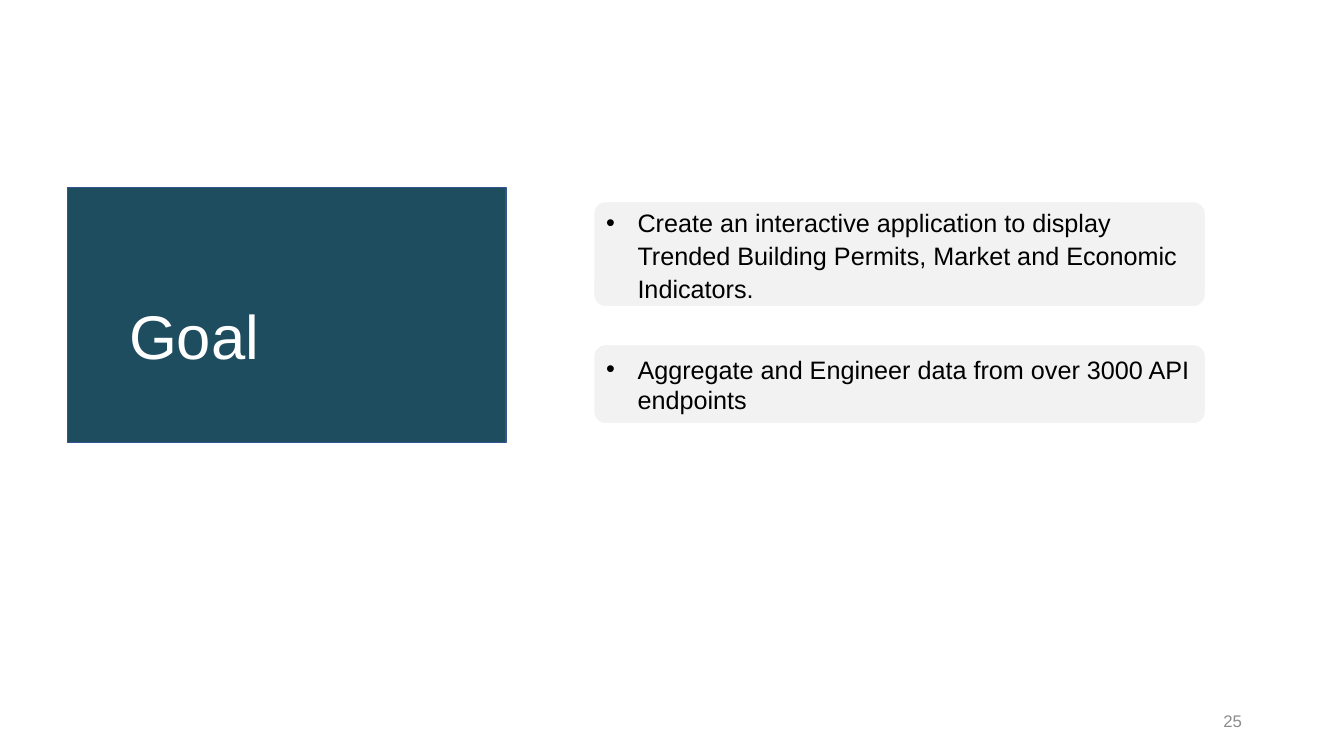
from lxml.etree import SubElement
from pptx import Presentation
from pptx.dml.color import RGBColor
from pptx.enum.shapes import MSO_SHAPE as SHAPE
from pptx.enum.text import MSO_ANCHOR as ANCHOR, MSO_AUTO_SIZE as AUTO, PP_ALIGN as ALIGN
from pptx.oxml.ns import qn
from pptx.util import Cm, Pt

TITLE = "Goal"
PAGE = "25"
GOALS = [
    ("Create an interactive application to display Trended Building Permits, "
     "Market and Economic Indicators.", 5.08, 2.65, 1.1),
    ("Aggregate and Engineer data from over 3000 API endpoints", 8.68, 2.0, 1.0),
]
CARD_LEFT, CARD_WIDTH, CORNER = 14.96, 15.42, 0.3
INSET, INDENT = 0.23, 0.79


def color(value):
    return RGBColor.from_string(value)


def add_box(s, kind, box, fill, line):
    sp = s.shapes.add_shape(kind, *map(Cm, box))
    sp.shadow.inherit = False
    sp.fill.solid()
    sp.fill.fore_color.rgb = color(fill)
    sp.line.color.rgb = color(line)
    sp.line.width = Pt(1)
    return sp


def write(sp, text, size, ink, align=ALIGN.LEFT, spacing=1.0):
    tf = sp.text_frame
    tf.text = text
    tf.word_wrap = True
    tf.auto_size = AUTO.NONE
    tf.vertical_anchor = ANCHOR.MIDDLE
    p = tf.paragraphs[0]
    p.alignment = align
    p.line_spacing = spacing
    font = p.runs[0].font
    font.name, font.size = "Arial", Pt(size)
    font.color.rgb = color(ink)
    return p


def add_bullet(p):
    pPr = p._p.get_or_add_pPr()
    pPr.set("marL", str(Cm(INDENT)))
    pPr.set("indent", str(-Cm(INDENT)))
    SubElement(pPr, qn("a:buFont"), typeface="Arial")
    SubElement(pPr, qn("a:buChar"), char="•")


def add_card(s, text, top, height, spacing):
    sp = add_box(s, SHAPE.ROUNDED_RECTANGLE,
                 (CARD_LEFT, top, CARD_WIDTH, height), "F2F2F2", "FFFFFF")
    sp.adjustments[0] = CORNER / height
    tf = sp.text_frame
    tf.margin_left = tf.margin_right = tf.margin_top = tf.margin_bottom = Cm(INSET)
    add_bullet(write(sp, text, 18, "000000", spacing=spacing))


def main():
    prs = Presentation()
    prs.slide_width, prs.slide_height = Cm(33.87), Cm(19.05)
    s = prs.slides.add_slide(prs.slide_layouts[5])

    title = s.shapes.title
    title.left, title.top, title.width, title.height = map(Cm, (3, 6.71, 7.8, 3.68))
    write(title, TITLE, 44, "FFFFFF", spacing=0.9)
    panel = add_box(s, SHAPE.RECTANGLE, (1.7, 4.72, 11.05, 6.43), "1E4D60", "325491")
    title.element.addprevious(panel.element)

    for goal in GOALS:
        add_card(s, *goal)

    page = s.shapes.add_textbox(*map(Cm, (23.93, 17.65, 7.62, 1.02)))
    write(page, PAGE, 12, "8C8C8C", ALIGN.RIGHT)
    prs.save("out.pptx")


if __name__ == "__main__":
    main()
